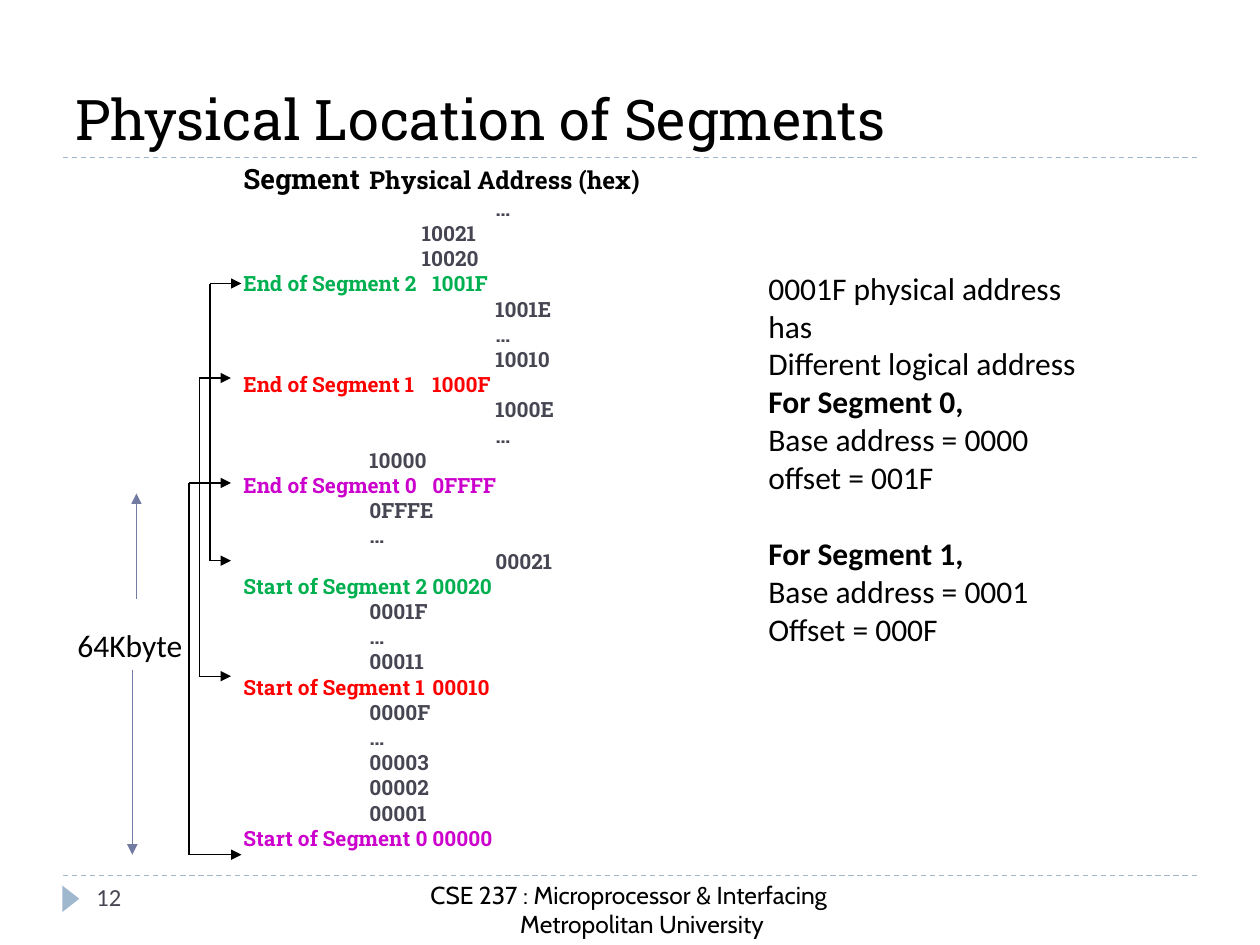
import lxml.etree
import pptx
import pptx.dml.color
import pptx.enum.dml
import pptx.enum.shapes
import pptx.enum.text
import pptx.oxml.ns
import pptx.util

RGBColor = pptx.dml.color.RGBColor
BLACK = RGBColor(0x00, 0x00, 0x00)
SLATE = RGBColor(0x46, 0x46, 0x53)
GREEN = RGBColor(0x00, 0xB0, 0x50)
RED = RGBColor(0xFF, 0x00, 0x00)
PURPLE = RGBColor(0xCC, 0x00, 0xCC)
PALE_BLUE = RGBColor(0x9F, 0xB8, 0xCD)
STEEL_BLUE = RGBColor(0x72, 0x7C, 0xA3)

deck = pptx.Presentation()
deck.slide_width = pptx.util.Inches(10)
deck.slide_height = pptx.util.Inches(7.5)
slide = deck.slides.add_slide(deck.slide_layouts[6])

# Grid of 120 columns by 90 rows, each unit a twelfth of an inch
UNIT = deck.slide_width / 120
qn = pptx.oxml.ns.qn


def write(frame, text, size=18, font="Calibri", color=BLACK, bold=False,
          align=None, indent=0, tab=None, before=0, same_line=False):
    """Add text to a frame, as a new paragraph unless same_line is set."""
    paragraph = frame.paragraphs[-1]
    if paragraph.runs and not same_line:
        paragraph = frame.add_paragraph()
    if not same_line:
        paragraph.alignment = align
        paragraph.space_before = pptx.util.Pt(before)
        properties = paragraph._p.get_or_add_pPr()
        properties.set("marL", str(int(indent * UNIT)))
        properties.set("indent", "0")
        if tab:
            stops = lxml.etree.SubElement(properties, qn("a:tabLst"))
            lxml.etree.SubElement(stops, qn("a:tab"), pos=str(int(tab * UNIT)), algn="l")
    run = paragraph.add_run()
    run.text = text
    run.font.size = pptx.util.Pt(size)
    run.font.name = font
    run.font.bold = bold
    run.font.color.rgb = color


def draw_line(x1, y1, x2, y2, color=BLACK, arrow=False, dashed=False):
    """Draw a straight line between two grid points."""
    line = slide.shapes.add_connector(
        pptx.enum.shapes.MSO_CONNECTOR.STRAIGHT,
        *(int(v * UNIT) for v in (x1, y1, x2, y2)))
    line.line.color.rgb = color
    line.line.width = pptx.util.Pt(0.75)
    if dashed:
        line.line.dash_style = pptx.enum.dml.MSO_LINE.DASH
    if arrow:
        lxml.etree.SubElement(line.line._get_or_add_ln(), qn("a:tailEnd"), type="triangle")
    lxml.etree.SubElement(line._element.spPr, qn("a:effectLst"))


# Rules above and below the content, and the page marker
for rule_row in (15, 83.4):
    draw_line(6, rule_row, 114, rule_row, PALE_BLUE, dashed=True)
marker = slide.shapes.add_shape(
    pptx.enum.shapes.MSO_SHAPE.ISOSCELES_TRIANGLE,
    *(int(v * UNIT) for v in (5.5, 84.8, 2.5, 1.6)))
marker.rotation = 90
marker.shadow.inherit = False
marker.fill.solid()
marker.fill.fore_color.rgb = PALE_BLUE
marker.line.fill.background()

# Text areas: left, top, width, height in grid units, and anchor
TOP = pptx.enum.text.MSO_ANCHOR.TOP
BOTTOM = pptx.enum.text.MSO_ANCHOR.BOTTOM
areas = {
    "title": (6, 2, 108, 13, BOTTOM),
    "page": (8, 83.4, 26, 4.8, TOP),
    "memory": (22, 15, 54, 66.6, BOTTOM),
    "example": (72, 25, 35, 34, TOP),
    "size": (6.2, 59, 12.8, 4.8, TOP),
    "footer": (19.4, 83.2, 81, 4.8, TOP),
}
frames = {}
for part, (*place, anchor) in areas.items():
    frame = slide.shapes.add_textbox(*(int(v * UNIT) for v in place)).text_frame
    frame.word_wrap = True
    frame.vertical_anchor = anchor
    frames[part] = frame

# Title, page number and size label
write(frames["title"], "Physical Location of Segments", size=32, font="Roboto Slab")
write(frames["page"], "12", size=14, color=SLATE)
write(frames["size"], "64Kbyte")

# Memory map: label, address, address column, colour
NEAR, MIDDLE, FAR = 12, 17, 24
memory_rows = [
    ("", "…", FAR, SLATE),
    ("", "10021", MIDDLE, SLATE),
    ("", "10020", MIDDLE, SLATE),
    ("End of Segment 2", "1001F", FAR, GREEN),
    ("", "1001E", FAR, SLATE),
    ("", "…", FAR, SLATE),
    ("", "10010", FAR, SLATE),
    ("End of Segment 1", "1000F", FAR, RED),
    ("", "1000E", FAR, SLATE),
    ("", "…", FAR, SLATE),
    ("", "10000", NEAR, SLATE),
    ("End of Segment 0", "0FFFF", FAR, PURPLE),
    ("", "0FFFE", NEAR, SLATE),
    ("", "…", NEAR, SLATE),
    ("", "00021", FAR, SLATE),
    ("Start of Segment 2", "00020", FAR, GREEN),
    ("", "0001F", NEAR, SLATE),
    ("", "…", NEAR, SLATE),
    ("", "00011", NEAR, SLATE),
    ("Start of Segment 1", "00010", FAR, RED),
    ("", "0000F", NEAR, SLATE),
    ("", "…", NEAR, SLATE),
    ("", "00003", NEAR, SLATE),
    ("", "00002", NEAR, SLATE),
    ("", "00001", NEAR, SLATE),
    ("Start of Segment 0", "00000", FAR, PURPLE),
]
memory = frames["memory"]
write(memory, "Segment\t", size=16, font="Roboto Slab", bold=True, tab=19)
write(memory, "Physical Address (hex)", size=14, font="Roboto Slab", bold=True, same_line=True)
for label, address, column, color in memory_rows:
    if label:
        write(memory, f"{label}\t{address}", size=12, font="Roboto Slab",
              color=color, bold=True, tab=column)
    else:
        write(memory, address, size=12, font="Roboto Slab",
              color=color, bold=True, indent=column)

# Brackets joining the start and end of each segment
for spine, end_row, start_row, end_tip, start_tip in (
        (18, 46, 81.4, 22, 23), (19, 36, 64.4, 22, 22), (20, 27, 53.4, 23, 22)):
    draw_line(spine, start_row, start_tip, start_row, arrow=True)
    draw_line(spine, start_row, spine, end_row)
    draw_line(spine, end_row, end_tip, end_row, arrow=True)

# Arrows for the extent of a segment
draw_line(13, 57, 13, 47, STEEL_BLUE, arrow=True)
draw_line(12.6, 63.8, 12.6, 81.4, STEEL_BLUE, arrow=True)

# Worked example
for text, bold, before in (
        ("0001F physical address has", False, 0),
        ("Different logical address", False, 0),
        ("For Segment 0,", True, 0),
        ("Base address = 0000", False, 0),
        ("offset = 001F", False, 0),
        ("For Segment 1,", True, 22),
        ("Base address = 0001", False, 0),
        ("Offset = 000F", False, 0)):
    write(frames["example"], text, bold=bold, before=before)

# Footer
for text, indent in (("CSE 237 : Microprocessor & Interfacing", 0),
                     ("Metropolitan University", 2.5)):
    write(frames["footer"], text, size=14, font="Cabin", indent=indent,
          align=pptx.enum.text.PP_ALIGN.CENTER)

deck.save("out.pptx")
